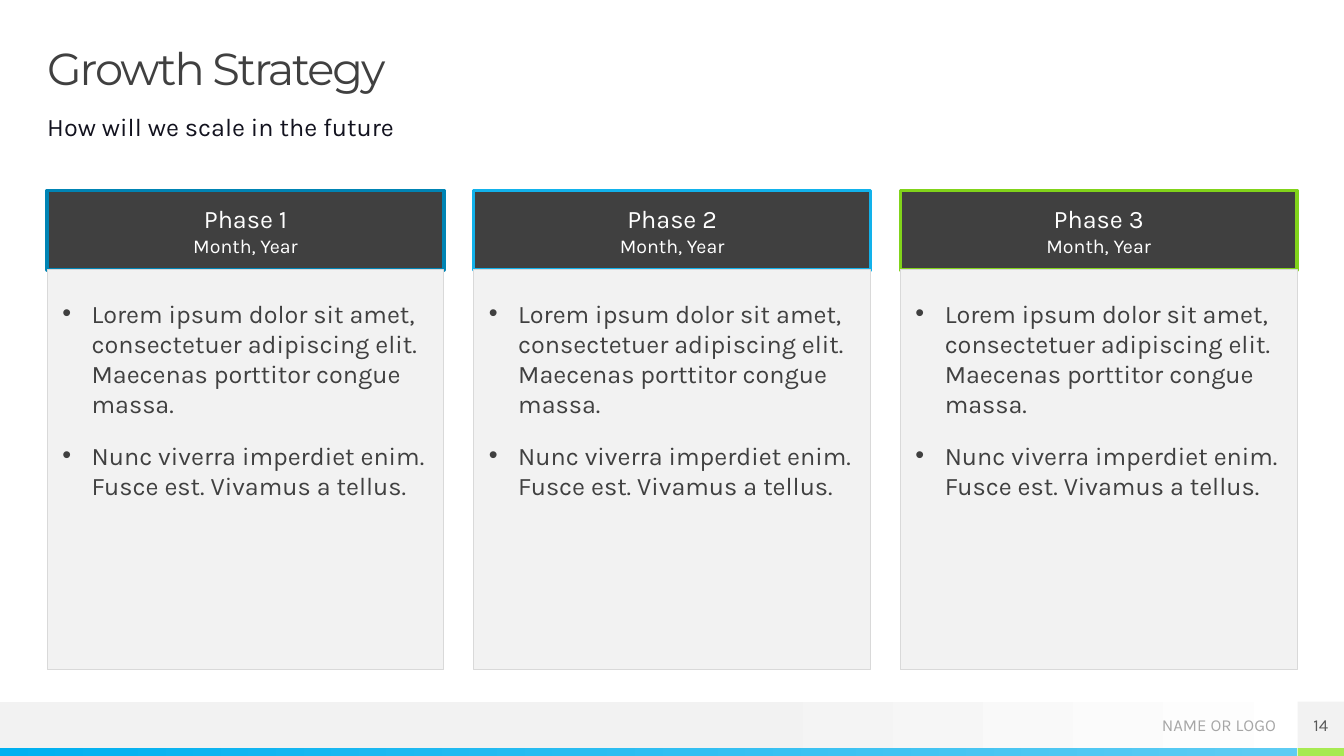
import dataclasses
import typing

import pptx
import pptx.dml.color
import pptx.enum.shapes
import pptx.enum.text
import pptx.oxml
import pptx.oxml.ns
import pptx.slide
import pptx.text.text
import pptx.util

Cm = pptx.util.Cm
Pt = pptx.util.Pt
ALIGN = pptx.enum.text.PP_ALIGN
ANCHOR = pptx.enum.text.MSO_ANCHOR

WIDTH, HEIGHT = 33.87, 19.05
MARGIN = 1.19
CONTENT_WIDTH = 31.49
CARD_WIDTH, CARD_PITCH = 10.0, 10.75
HEADER_TOP, HEADER_HEIGHT = 4.8, 2.0
CARD_HEIGHT = 10.08
FOOTER_TOP, FOOTER_HEIGHT = 17.68, 1.17
STRIPE_TOP = FOOTER_TOP + FOOTER_HEIGHT
STRIPE_HEIGHT = HEIGHT - STRIPE_TOP
CORNER_LEFT = WIDTH - FOOTER_HEIGHT

DARK, PALE = "404040", "F2F2F2"
SPACED = {"space_before": Pt(10), "space_after": Pt(5)}
CENTERED = {"alignment": ALIGN.CENTER}
POINTS = (
    "Lorem ipsum dolor sit amet, consectetuer adipiscing elit. Maecenas porttitor congue massa.",
    "Nunc viverra imperdiet enim. Fusce est. Vivamus a tellus.",
)


@dataclasses.dataclass
class Area:
    left: float
    top: float
    width: float
    height: float


@dataclasses.dataclass
class Span:
    text: str
    size: float
    color: str
    font: str = "Karla"
    tracking: int = 0


@dataclasses.dataclass
class Para:
    lines: list[Span]
    formats: dict[str, typing.Any] = dataclasses.field(default_factory=dict)
    bullet: bool = False


@dataclasses.dataclass
class Box:
    area: Area
    paras: list[Para] = dataclasses.field(default_factory=list)
    fill: str = ""
    gradient: tuple[tuple[float, str], ...] = ()
    outline: str = ""
    outline_width: float = 0.75
    anchor: ANCHOR = ANCHOR.TOP
    insets: tuple[float, float, float, float] = (0, 0, 0, 0)


@dataclasses.dataclass
class Phase:
    name: str
    accent: str


PHASES = [Phase("Phase 1", "0084B4"), Phase("Phase 2", "12B2EB"), Phase("Phase 3", "81D31A")]


def rgb(value: str) -> pptx.dml.color.RGBColor:
    return pptx.dml.color.RGBColor.from_string(value)


def apply_formats(target: typing.Any, formats: dict[str, typing.Any]) -> None:
    for name, value in formats.items():
        setattr(target, name, value)


def add_bullet(para: pptx.text.text._Paragraph) -> None:
    properties = para._p.get_or_add_pPr()
    properties.set("marL", str(Cm(0.74)))
    properties.set("indent", str(-Cm(0.74)))
    namespace = pptx.oxml.ns.nsdecls("a")
    for markup in (
        f'<a:buClr {namespace}><a:srgbClr val="{DARK}"/></a:buClr>',
        f'<a:buFont {namespace} typeface="Arial"/>',
        f'<a:buChar {namespace} char="•"/>',
    ):
        properties.append(pptx.oxml.parse_xml(markup))


def write_para(para: pptx.text.text._Paragraph, content: Para) -> None:
    apply_formats(para, content.formats)
    if content.bullet:
        add_bullet(para)
    for index, span in enumerate(content.lines):
        if index:
            para.add_line_break()
        run = para.add_run()
        run.text = span.text
        apply_formats(run.font, {"name": span.font, "size": Pt(span.size)})
        run.font.color.rgb = rgb(span.color)
        if span.tracking:
            run._r.get_or_add_rPr().set("spc", str(span.tracking))


def draw_box(page: pptx.slide.Slide, box: Box) -> None:
    place = [Cm(length) for length in dataclasses.astuple(box.area)]
    if box.fill or box.gradient:
        shape = page.shapes.add_shape(pptx.enum.shapes.MSO_SHAPE.RECTANGLE, *place)
        shape.shadow.inherit = False
        if box.gradient:
            shape.fill.gradient()
            shape.fill.gradient_angle = 0
            for stop, (position, color) in zip(shape.fill.gradient_stops, box.gradient):
                stop.position = position
                stop.color.rgb = rgb(color)
        else:
            shape.fill.solid()
            shape.fill.fore_color.rgb = rgb(box.fill)
        if box.outline:
            shape.line.color.rgb = rgb(box.outline)
            shape.line.width = Pt(box.outline_width)
        else:
            shape.line.fill.background()
    else:
        shape = page.shapes.add_textbox(*place)
    frame = shape.text_frame
    sides = ("margin_left", "margin_top", "margin_right", "margin_bottom")
    margins = {side: Cm(inset) for side, inset in zip(sides, box.insets)}
    apply_formats(frame, {"word_wrap": True, "vertical_anchor": box.anchor, **margins})
    for index, content in enumerate(box.paras):
        para = frame.add_paragraph() if index else frame.paragraphs[0]
        write_para(para, content)


def footer_boxes() -> list[Box]:
    return [
        Box(Area(0, FOOTER_TOP, WIDTH, FOOTER_HEIGHT), gradient=((0.53, PALE), (1, "FFFFFF"))),
        Box(Area(0, STRIPE_TOP, CORNER_LEFT, STRIPE_HEIGHT), gradient=((0, "00B0F0"), (1, "5ECCF3"))),
        Box(Area(CORNER_LEFT, STRIPE_TOP, FOOTER_HEIGHT, STRIPE_HEIGHT), fill="A7EA52"),
        Box(Area(26.47, FOOTER_TOP, 5.69, 1.19), anchor=ANCHOR.MIDDLE,
            paras=[Para([Span("NAME OR LOGO", 12, "A6A6A6")], {"alignment": ALIGN.RIGHT})]),
        Box(Area(CORNER_LEFT, FOOTER_TOP, FOOTER_HEIGHT, FOOTER_HEIGHT), fill=PALE,
            anchor=ANCHOR.MIDDLE, paras=[Para([Span("14", 12, "595959")], CENTERED)]),
    ]


def heading_boxes() -> list[Box]:
    return [
        Box(Area(MARGIN, 1.19, CONTENT_WIDTH, 1.19),
            [Para([Span("Growth Strategy", 32, DARK, "Montserrat", -150)],
                  {"alignment": ALIGN.LEFT, "line_spacing": 0.9})]),
        Box(Area(MARGIN, 2.8, CONTENT_WIDTH, 1),
            [Para([Span("How will we scale in the future", 18, "12121E")], SPACED)]),
    ]


def phase_boxes(phase: Phase, left: float) -> list[Box]:
    title = [Span(phase.name, 18, "FFFFFF"), Span("Month, Year", 14, "FFFFFF")]
    points = [Para([Span(point, 18, DARK)], {"alignment": ALIGN.LEFT, **SPACED}, True)
              for point in POINTS]
    return [
        Box(Area(left, HEADER_TOP, CARD_WIDTH, HEADER_HEIGHT), [Para(title, CENTERED | SPACED)],
            fill=DARK, outline=phase.accent, outline_width=2.5,
            anchor=ANCHOR.MIDDLE, insets=(0.3, 0.1, 0.3, 0.1)),
        Box(Area(left, HEADER_TOP + HEADER_HEIGHT, CARD_WIDTH, CARD_HEIGHT), points,
            fill=PALE, outline="D9D9D9", insets=(0.38, 0.71, 0.38, 0)),
    ]


def main() -> None:
    deck = pptx.Presentation()
    apply_formats(deck, {"slide_width": Cm(WIDTH), "slide_height": Cm(HEIGHT)})
    page = deck.slides.add_slide(deck.slide_layouts[6])
    boxes = footer_boxes() + heading_boxes()
    for index, phase in enumerate(PHASES):
        boxes += phase_boxes(phase, MARGIN + index * CARD_PITCH)
    for box in boxes:
        draw_box(page, box)
    deck.save("out.pptx")


if __name__ == "__main__":
    main()
